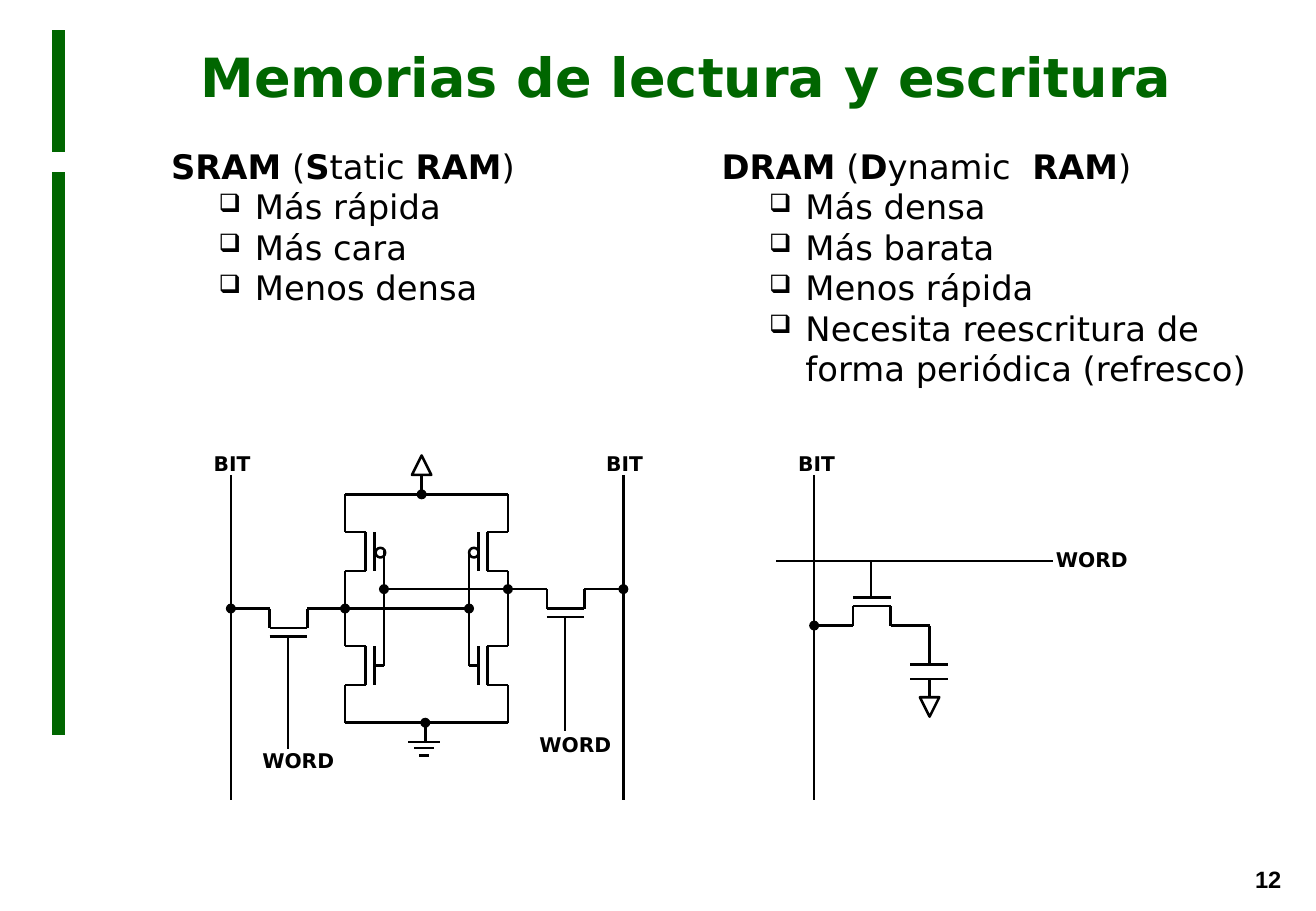
"""Build a slide comparing SRAM and DRAM memory cells with their circuits."""
from itertools import pairwise

from lxml.etree import SubElement
from pptx import Presentation
from pptx.dml.color import RGBColor
from pptx.enum.shapes import MSO_CONNECTOR as Link, MSO_SHAPE as Shape
from pptx.enum.text import MSO_ANCHOR as Anchor, MSO_AUTO_SIZE as Fit, PP_ALIGN as Align
from pptx.oxml.ns import qn
from pptx.util import Inches, Pt

COLORS = {"green": "006600", "black": "000000"}

deck = Presentation()
deck.slide_width, deck.slide_height = Inches(10.83), Inches(7.5)
page = deck.slides.add_slide(deck.slide_layouts[6])


def add_wire(points, head=False, tail=False, color="black", width=1.5):
    """Join the points with straight lines, with optional dots at the ends."""
    segments = list(pairwise(points))
    for index, (start, end) in enumerate(segments):
        wire = page.shapes.add_connector(Link.STRAIGHT, *map(Inches, start + end))
        wire.line.color.rgb = RGBColor.from_string(COLORS[color])
        wire.line.width = Pt(width)
        properties = wire.line._get_or_add_ln()
        if head and index == 0:
            SubElement(properties, qn("a:headEnd"), type="oval")
        if tail and index == len(segments) - 1:
            SubElement(properties, qn("a:tailEnd"), type="oval")
        SubElement(wire._element.spPr, qn("a:effectLst"))


def add_text(place, text, size, color="black", font="DejaVu Sans", wrap=True):
    """Add a text box with one bold paragraph."""
    box = page.shapes.add_textbox(*map(Inches, place))
    box.text_frame.word_wrap = wrap
    box.text_frame.auto_size = Fit.NONE if wrap else Fit.SHAPE_TO_FIT_TEXT
    para = box.text_frame.paragraphs[0]
    para.text = text
    para.font.size, para.font.bold, para.font.name = Pt(size), True, font
    para.font.color.rgb = RGBColor.from_string(COLORS[color])
    return box.text_frame


for top, bottom in [(0.25, 1.25), (1.42, 6.05)]:
    add_wire([(0.48, top), (0.48, bottom)], color="green", width=8)

add_text((10.23, 7.07, 0.57, 0.34), "12", 14, font="Arial")
title = add_text((0.78, 0, 9.74, 1.25), "Memorias de lectura y escritura", 32, "green")
title.vertical_anchor = Anchor.MIDDLE
title.paragraphs[0].alignment = Align.CENTER

memories = [
    (1.31, 1.45, ["SRAM", " (", "S", "tatic ", "RAM", ")"],
     ["Más rápida", "Más cara", "Menos densa"]),
    (5.84, 2.28, ["DRAM", " (", "D", "ynamic  ", "RAM", ")"],
     ["Más densa", "Más barata", "Menos rápida",
      "Necesita reescritura de forma periódica (refresco)"]),
]
for left, height, heading, features in memories:
    box = page.shapes.add_textbox(Inches(left), Inches(1.15), Inches(4.69), Inches(height))
    frame = box.text_frame
    frame.word_wrap = True
    for index, spans in enumerate([heading] + [[feature] for feature in features]):
        para = frame.paragraphs[0] if index == 0 else frame.add_paragraph()
        para.font.name, para.font.size = "DejaVu Sans", Pt(20)
        para.font.color.rgb = RGBColor.from_string(COLORS["black"])
        para.line_spacing = Pt(24)
        for position, text in enumerate(spans):
            span = para.add_run()
            span.text = text
            span.font.bold = index == 0 and position % 2 == 0
        layout = para._p.get_or_add_pPr()
        margin, indent = (0.69, -0.3) if index else (0.19, -0.19)
        layout.set("marL", str(Inches(margin)))
        layout.set("indent", str(Inches(indent)))
        if index:
            para.level = 1
            bullet_size = layout.makeelement(qn("a:buSzPct"), {"val": "75000"})
            bullet = layout.makeelement(qn("a:buChar"), {"char": "❑"})
            layout.find(qn("a:defRPr")).addprevious(bullet_size)
            bullet_size.addnext(bullet)

for x in [1.9, 5.13, 6.7]:
    add_wire([(x, 3.91), (x, 6.59)])

access_transistors = [
    (1.9, 5.01, 1, 6.17, False),
    (4.18, 4.85, 1, 6.02, True),
    (6.7, 5.15, -1, 4.62, False),
]
for x, y, side, word_end, tail in access_transistors:
    channel, gate = y + side * 0.16, y + side * 0.23
    source, drain = x + 0.32, x + 0.63
    add_wire([(x, y), (source, y), (source, channel), (drain, channel),
              (drain, y), (x + 0.95, y)], head=True, tail=tail)
    add_wire([(source, gate), (drain, gate)])
    add_wire([(x + 0.47, gate), (x + 0.47, word_end)])

cell_center = 3.51
for side in [-1, 1]:
    rail, channel, gate, input_x = [cell_center + side * gap for gap in (0.67, 0.5, 0.43, 0.35)]
    add_wire([(rail, 4.07), (rail, 4.38), (channel, 4.38), (channel, 4.7), (rail, 4.7),
              (rail, 5.32), (channel, 5.32), (channel, 5.64), (rail, 5.64), (rail, 5.95)])
    for top in [4.38, 5.32]:
        add_wire([(gate, top), (gate, top + 0.32)])
    add_wire([(input_x, 4.54), (input_x, 5.48), (gate, 5.48)])

for y in [4.07, 5.95]:
    add_wire([(2.84, y), (4.18, y)])
add_wire([(2.84, 5.01), (3.86, 5.01)], head=True, tail=True)
add_wire([(4.18, 4.85), (3.16, 4.85)], tail=True)
add_wire([(3.47, 4.07), (3.47, 3.91)], head=True)
add_wire([(3.5, 5.95), (3.5, 6.11)], head=True)
for y, half in [(6.11, 0.13), (6.16, 0.08), (6.22, 0.04)]:
    add_wire([(3.49 - half, y), (3.49 + half, y)])

add_wire([(6.39, 4.62), (8.67, 4.62)])
add_wire([(7.65, 5.15), (7.65, 5.47)])
for y in [5.47, 5.59]:
    add_wire([(7.49, y), (7.8, y)])
add_wire([(7.65, 5.59), (7.65, 5.74)])

symbols = [
    (Shape.OVAL, 3.09, 4.51, 0.08, 0),
    (Shape.OVAL, 3.86, 4.51, 0.08, 0),
    (Shape.ISOSCELES_TRIANGLE, 3.39, 3.75, 0.16, 0),
    (Shape.ISOSCELES_TRIANGLE, 7.57, 5.74, 0.16, 180),
]
for kind, left, top, size, angle in symbols:
    symbol = page.shapes.add_shape(kind, *map(Inches, (left, top, size, size)))
    symbol.rotation = angle
    symbol.shadow.inherit = False
    symbol.fill.background()
    symbol.line.color.rgb = RGBColor.from_string(COLORS["black"])
    symbol.line.width = Pt(1.5)

labels = [
    ("BIT", 0.54, [(1.66, 3.67), (4.89, 3.67), (6.47, 3.67)]),
    ("WORD", 0.81, [(2.06, 6.11), (4.34, 5.98), (8.59, 4.46)]),
]
for text, width, places in labels:
    for left, top in places:
        add_text((left, top, width, 0.31), text, 12, wrap=False)

deck.save("out.pptx")
